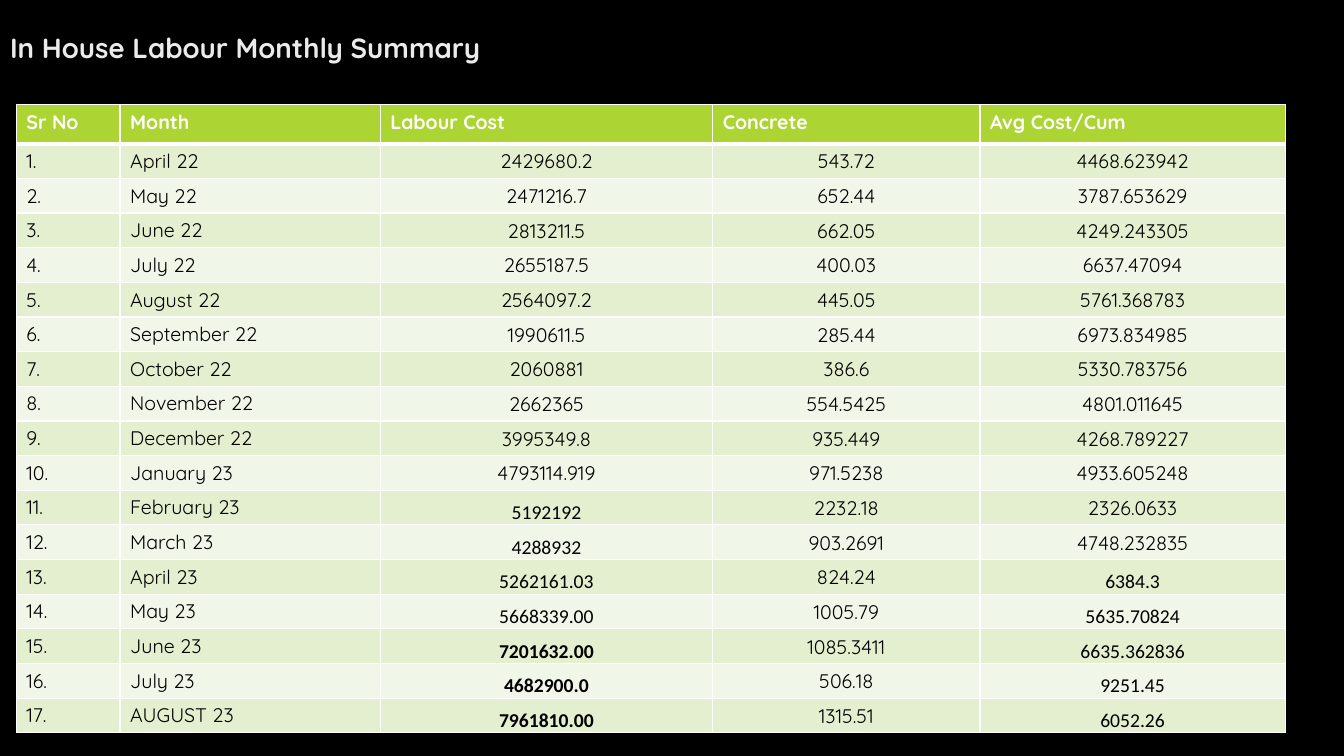
from lxml import etree
from pptx import Presentation
from pptx.dml.color import RGBColor
from pptx.enum.text import MSO_ANCHOR, PP_ALIGN
from pptx.oxml.ns import qn
from pptx.util import Pt

LEFT, CENTER = PP_ALIGN.LEFT, PP_ALIGN.CENTER
TOP, MIDDLE, BOTTOM = MSO_ANCHOR.TOP, MSO_ANCHOR.MIDDLE, MSO_ANCHOR.BOTTOM
TITLE_ONLY = 5

COLORS = {
    "page": "000000",
    "title": "EBEBEB",
    "header": "ACD433",
    "odd": "E3EFCE",
    "even": "F1F7E8",
    "white": "FFFFFF",
    "ink": "000000",
}
MAIN_FONT, ENTRY_FONT = "Quicksand", "Calibri"

HEADINGS = ["Sr No", "Month", "Labour Cost", "Concrete", "Avg Cost/Cum"]
COLUMN_WIDTHS = [74.2, 185.8, 237.6, 190.8, 218.2]
HEADER_HEIGHT, ROW_HEIGHT = 28.1, 24.5
MONTHS = [
    ("April 22", "2429680.2", "543.72", "4468.623942"),
    ("May 22", "2471216.7", "652.44", "3787.653629"),
    ("June 22", "2813211.5", "662.05", "4249.243305"),
    ("July 22", "2655187.5", "400.03", "6637.47094"),
    ("August 22", "2564097.2", "445.05", "5761.368783"),
    ("September 22", "1990611.5", "285.44", "6973.834985"),
    ("October 22", "2060881", "386.6", "5330.783756"),
    ("November 22", "2662365", "554.5425", "4801.011645"),
    ("December 22", "3995349.8", "935.449", "4268.789227"),
    ("January 23", "4793114.919", "971.5238", "4933.605248"),
    ("February 23", "5192192", "2232.18", "2326.0633"),
    ("March 23", "4288932", "903.2691", "4748.232835"),
    ("April 23", "5262161.03", "824.24", "6384.3"),
    ("May 23", "5668339.00", "1005.79", "5635.70824"),
    ("June 23", "7201632.00", "1085.3411", "6635.362836"),
    ("July 23", "4682900.0", "506.18", "9251.45"),
    ("AUGUST 23", "7961810.00", "1315.51", "6052.26"),
]
COST, AVERAGE = 2, 4
# First row in which a column is set in Calibri at the foot of the cell
ENTRY_START = {COST: 11, AVERAGE: 13}
BOLD_COST_START = 15


class SummaryPage:
    def __init__(self, deck):
        self.page = deck.slides.add_slide(deck.slide_layouts[TITLE_ONLY])
        background = self.page.background.fill
        background.solid()
        background.fore_color.rgb = RGBColor.from_string(COLORS["page"])

    def add_text(self, frame, text, size, color, bold=False, font=MAIN_FONT, align=LEFT):
        para = frame.paragraphs[0]
        para.alignment = align
        span = para.add_run()
        span.text = text
        span.font.name = font
        span.font.size = Pt(size)
        span.font.bold = bold
        span.font.color.rgb = RGBColor.from_string(COLORS[color])

    def title(self, text):
        box = self.page.shapes.title
        box.left, box.top, box.width, box.height = Pt(0), Pt(0), Pt(844.6), Pt(48.2)
        frame = box.text_frame
        frame.word_wrap = True
        frame.vertical_anchor = BOTTOM
        frame.margin_left, frame.margin_bottom = Pt(7.2), Pt(2.5)
        self.add_text(frame, text, 19.8, "title", bold=True)

    def table(self, left, top, widths, heights):
        table = self.page.shapes.add_table(
            len(heights), len(widths), Pt(left), Pt(top), Pt(sum(widths)), Pt(sum(heights))
        ).table
        for column, width in zip(table.columns, widths):
            column.width = Pt(width)
        for row, height in zip(table.rows, heights):
            row.height = Pt(height)
        return table

    def borders(self, cell, top, bottom):
        """Draw white cell borders; top and bottom are line widths in points."""
        properties = cell._tc.get_or_add_tcPr()
        for side, width in (("L", 1), ("R", 1), ("T", top), ("B", bottom)):
            line = etree.SubElement(properties, qn(f"a:ln{side}"), w=str(Pt(width)))
            fill = etree.SubElement(line, qn("a:solidFill"))
            etree.SubElement(fill, qn("a:srgbClr"), val=COLORS["white"])

    def cell(self, cell, text, fill, color, top=1, bottom=1, anchor=TOP, **style):
        self.borders(cell, top, bottom)
        cell.fill.solid()
        cell.fill.fore_color.rgb = RGBColor.from_string(COLORS[fill])
        cell.vertical_anchor = anchor
        if anchor != TOP:
            cell.margin_left = cell.margin_right = cell.margin_top = Pt(0.7)
            cell.margin_bottom = Pt(0)
        self.add_text(cell.text_frame, text, 14, color, **style)


def value_style(row, column):
    if column < COST:
        return {}
    if row < ENTRY_START.get(column, len(MONTHS) + 1):
        return {"anchor": MIDDLE, "align": CENTER}
    bold = column == COST and row >= BOLD_COST_START
    return {"anchor": BOTTOM, "align": CENTER, "font": ENTRY_FONT, "bold": bold}


def main():
    deck = Presentation()
    deck.slide_width, deck.slide_height = Pt(960), Pt(540)
    summary = SummaryPage(deck)
    summary.title("In House Labour Monthly Summary")

    heights = [HEADER_HEIGHT] + [ROW_HEIGHT] * len(MONTHS)
    table = summary.table(11.6, 74.6, COLUMN_WIDTHS, heights)
    for column, heading in enumerate(HEADINGS):
        summary.cell(table.cell(0, column), heading, "header", "white", bottom=3, bold=True)
    for row, month in enumerate(MONTHS, start=1):
        fill = "odd" if row % 2 else "even"
        top = 3 if row == 1 else 1
        for column, text in enumerate((f"{row}.", *month)):
            summary.cell(table.cell(row, column), text, fill, "ink", top=top,
                         **value_style(row, column))
    deck.save("out.pptx")


if __name__ == "__main__":
    main()
